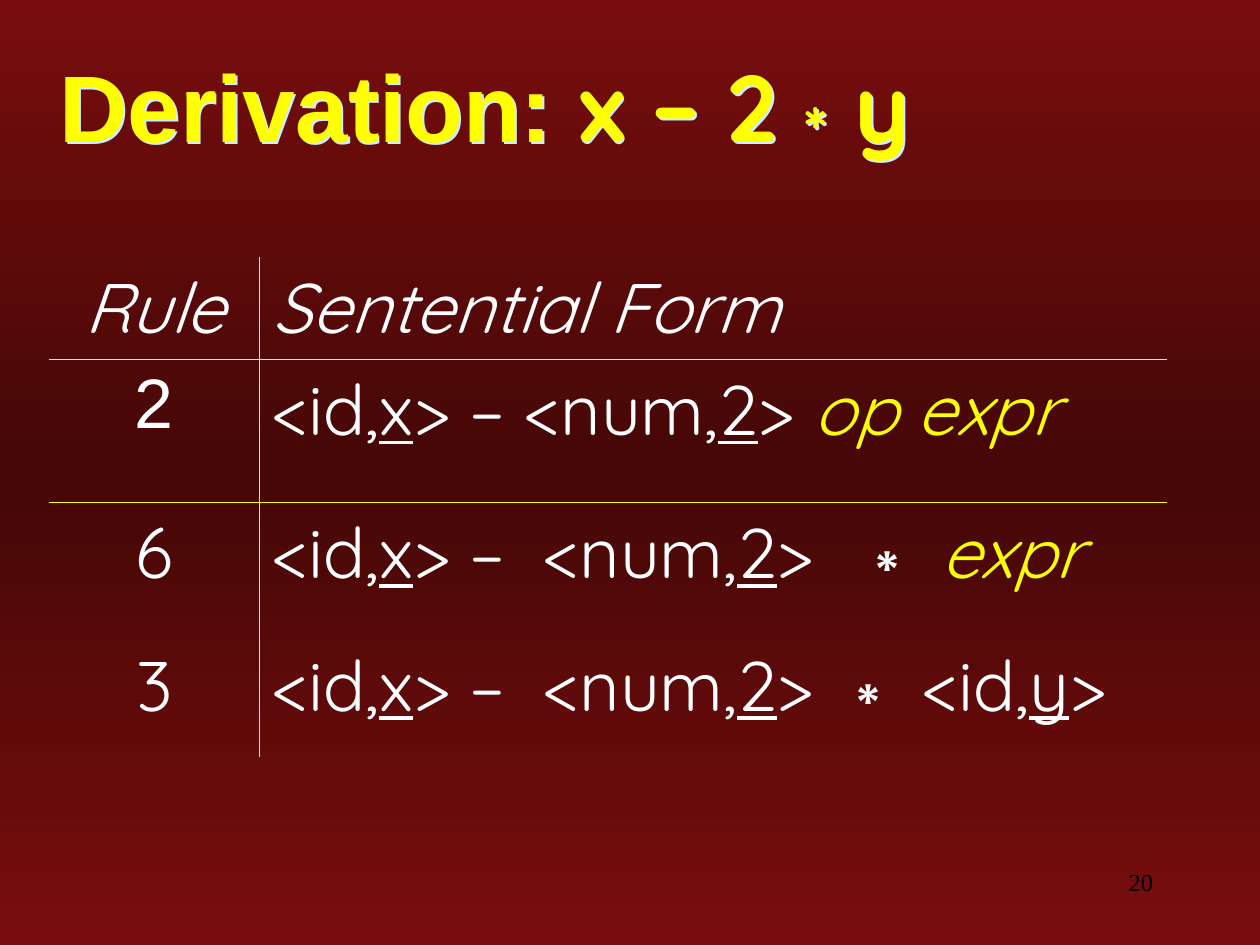
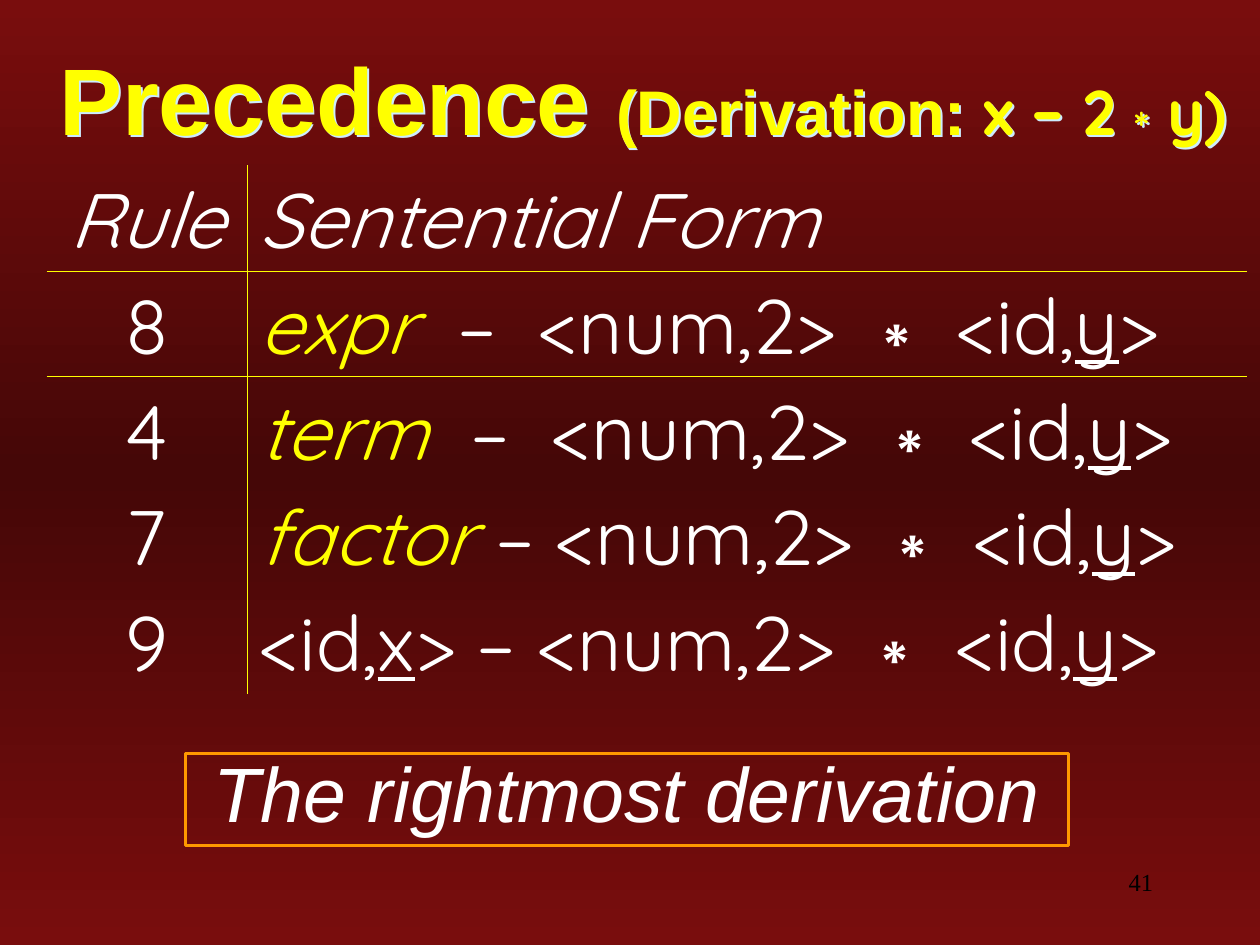
from copy import deepcopy

from lxml import etree
from pptx import Presentation
from pptx.dml.color import RGBColor
from pptx.enum.shapes import MSO_SHAPE
from pptx.enum.text import MSO_ANCHOR, MSO_AUTO_SIZE, PP_ALIGN
from pptx.oxml.ns import qn
from pptx.util import Inches, Pt

LEFT, CENTER, RIGHT = PP_ALIGN.LEFT, PP_ALIGN.CENTER, PP_ALIGN.RIGHT
MIDDLE = MSO_ANCHOR.MIDDLE
NO_FIT = MSO_AUTO_SIZE.NONE
RECTANGLE = MSO_SHAPE.RECTANGLE

YELLOW = RGBColor(0xFF, 0xFF, 0x00)
WHITE = RGBColor(0xFF, 0xFF, 0xFF)
BLACK = RGBColor(0x00, 0x00, 0x00)
ORANGE = RGBColor(0xFF, 0x99, 0x00)
RED = RGBColor(0x79, 0x0D, 0x0D)
DARK_RED = RGBColor(0x45, 0x07, 0x07)
TITLE_SHADOW = RGBColor(0xCC, 0xEC, 0xFF)

SANS, ROUND, SERIF = "Arial", "Quicksand", "Times New Roman"
NO_GRID_STYLE = "{2D5ABB26-0587-4C30-8999-92F81FD0307C}"

WIDTH, HEIGHT = Inches(10), Inches(7.5)
COLUMN, ROW = WIDTH / 100, HEIGHT / 100

PLAIN = {}
ITALIC = {"italic": True}
SYMBOL = {"italic": True, "color": YELLOW}
VALUE = {"underline": True}
OPERATOR = {"name": SANS}

HEADER = ([("Rule", ITALIC)], [("Sentential Form", ITALIC)])
ID_X = [("<id,", PLAIN), ("x", VALUE)]
ID_Y = [("<id,", PLAIN), ("y", VALUE), (">", PLAIN)]
NUM_2 = [("> –  <num,", PLAIN), ("2", VALUE)]
TIMES_Y = [("∗ ", OPERATOR)] + ID_Y

SLIDES = [
    {
        "number": "20",
        "title": [
            ("Derivation: ", {"name": SANS}),
            ("x – 2 ", PLAIN),
            ("*", {"size": 66, "baseline": -10}),
            (" y", PLAIN),
        ],
        "title_size": 54,
        "table_at": (3.9, 27.2),
        "columns": (16.7, 72),
        "rows": (10.8, 15.2, 14, 12.93),
        "size": 40,
        "steps": [
            HEADER,
            ([("2", {"name": SANS})],
             ID_X + [("> – <num,", PLAIN), ("2", VALUE), (">", PLAIN), (" op expr", SYMBOL)]),
            ([("6", PLAIN)],
             ID_X + NUM_2 + [(">  ", PLAIN), ("∗ ", OPERATOR), ("expr", SYMBOL)]),
            ([("3", PLAIN)],
             ID_X + NUM_2 + [("> ", PLAIN), ("∗", OPERATOR), (" ", PLAIN)] + ID_Y),
        ],
    },
    {
        "number": "41",
        "title": [
            ("Precedence ", {"name": SANS, "size": 54}),
            ("(Derivation: ", {"name": SANS}),
            ("x – 2 ", PLAIN),
            ("*", {"size": 44, "baseline": -10}),
            (" y)", PLAIN),
        ],
        "title_size": 36,
        "table_at": (3.7, 17.47),
        "columns": (15.9, 79.4),
        "rows": (11.2,) * 5,
        "size": 44,
        "steps": [
            HEADER,
            ([("8", PLAIN)], [("expr  ", SYMBOL), ("–  <num,2> ", PLAIN)] + TIMES_Y),
            ([("4", PLAIN)], [("term  ", SYMBOL), ("–  <num,2> ", PLAIN)] + TIMES_Y),
            ([("7", PLAIN)], [("factor ", SYMBOL), ("– <num,2> ", PLAIN)] + TIMES_Y),
            ([("9", PLAIN)], ID_X + [("> – <num,2> ", PLAIN)] + TIMES_Y),
        ],
        "conclusion": "The rightmost derivation",
    },
]


def write(para, spans, align, **base):
    para.alignment = align
    for text, changes in spans:
        style = {**base, **changes}
        span = para.add_run()
        span.text = text
        span.font.name = style["name"]
        span.font.size = Pt(style["size"])
        span.font.color.rgb = style["color"]
        span.font.bold = style.get("bold", False)
        span.font.italic = style.get("italic", False)
        span.font.underline = style.get("underline", False)
        if "baseline" in style:
            span.font._element.set("baseline", str(style["baseline"] * 1000))


def grid(*shares):
    return [round(share * unit) for share, unit in zip(shares, (COLUMN, ROW) * 2)]


deck = Presentation()
deck.slide_width, deck.slide_height = WIDTH, HEIGHT

backdrop = deck.slide_master.background.fill
backdrop.gradient()
backdrop.gradient_angle = 90
for stop, position in zip(backdrop.gradient_stops, (0, 1)):
    stop.color.rgb = RED
    stop.position = position
stop_list = deck.slide_master._element.find(".//" + qn("a:gsLst"))
stop_list.insert(1, deepcopy(stop_list[0]))
middle_stop = backdrop.gradient_stops[1]
middle_stop.color.rgb = DARK_RED
middle_stop.position = 0.5

for content in SLIDES:
    page = deck.slides.add_slide(deck.slide_layouts[5])

    number = page.shapes.add_textbox(*grid(71.7, 91.07, 20.8, 6.67))
    number.text_frame.word_wrap = True
    write(number.text_frame.paragraphs[0], [(content["number"], PLAIN)], RIGHT,
          name=SERIF, size=14, color=BLACK)

    title = page.shapes.title
    title.left, title.top, title.width, title.height = grid(3.7, 4.8, 96.3, 11.07)
    title.text_frame.auto_size = NO_FIT
    title.text_frame.word_wrap = True
    title.text_frame.vertical_anchor = MIDDLE
    write(title.text_frame.paragraphs[0], content["title"], LEFT,
          name=ROUND, size=content["title_size"], color=YELLOW, bold=True)
    effects = etree.SubElement(title._element.spPr, qn("a:effectLst"))
    shadow = etree.SubElement(effects, qn("a:outerShdw"), dist="20000", dir="2700000")
    etree.SubElement(shadow, qn("a:srgbClr"), val=str(TITLE_SHADOW))

    steps = content["steps"]
    size = grid(sum(content["columns"]), sum(content["rows"]))
    frame = page.shapes.add_table(len(steps), 2, *grid(*content["table_at"]), *size)
    table = frame.table
    table.first_row = table.horz_banding = False
    table._tbl.tblPr.find(qn("a:tableStyleId")).text = NO_GRID_STYLE
    for column, share in zip(table.columns, content["columns"]):
        column.width = round(share * COLUMN)
    for row, share in zip(table.rows, content["rows"]):
        row.height = round(share * ROW)

    for row_index, step in enumerate(steps):
        for column_index, spans in enumerate(step):
            cell = table.cell(row_index, column_index)
            write(cell.text_frame.paragraphs[0], spans, (CENTER, LEFT)[column_index],
                  name=ROUND, size=content["size"], color=WHITE)
            edges = [("a:lnR", "a:lnL")[column_index]]
            if row_index < 2:
                edges.append(("a:lnB", "a:lnT")[row_index])
            properties = cell._tc.get_or_add_tcPr()
            for edge in edges:
                line = etree.SubElement(properties, qn(edge), w=str(Pt(0.45)))
                paint = etree.SubElement(line, qn("a:solidFill"))
                etree.SubElement(paint, qn("a:srgbClr"), val=str(YELLOW))
            cell.fill.background()

    if "conclusion" in content:
        box = page.shapes.add_shape(RECTANGLE, *grid(14.7, 79.73, 70.1, 9.73))
        box.shadow.inherit = False
        box.fill.background()
        box.line.color.rgb = ORANGE
        box.line.width = Pt(1.5)
        box.text_frame.word_wrap = True
        box.text_frame.vertical_anchor = MIDDLE
        para = box.text_frame.paragraphs[0]
        para.line_spacing = 0.85
        write(para, [(content["conclusion"], ITALIC)], CENTER,
              name=SANS, size=44, color=WHITE)

deck.save("out.pptx")
